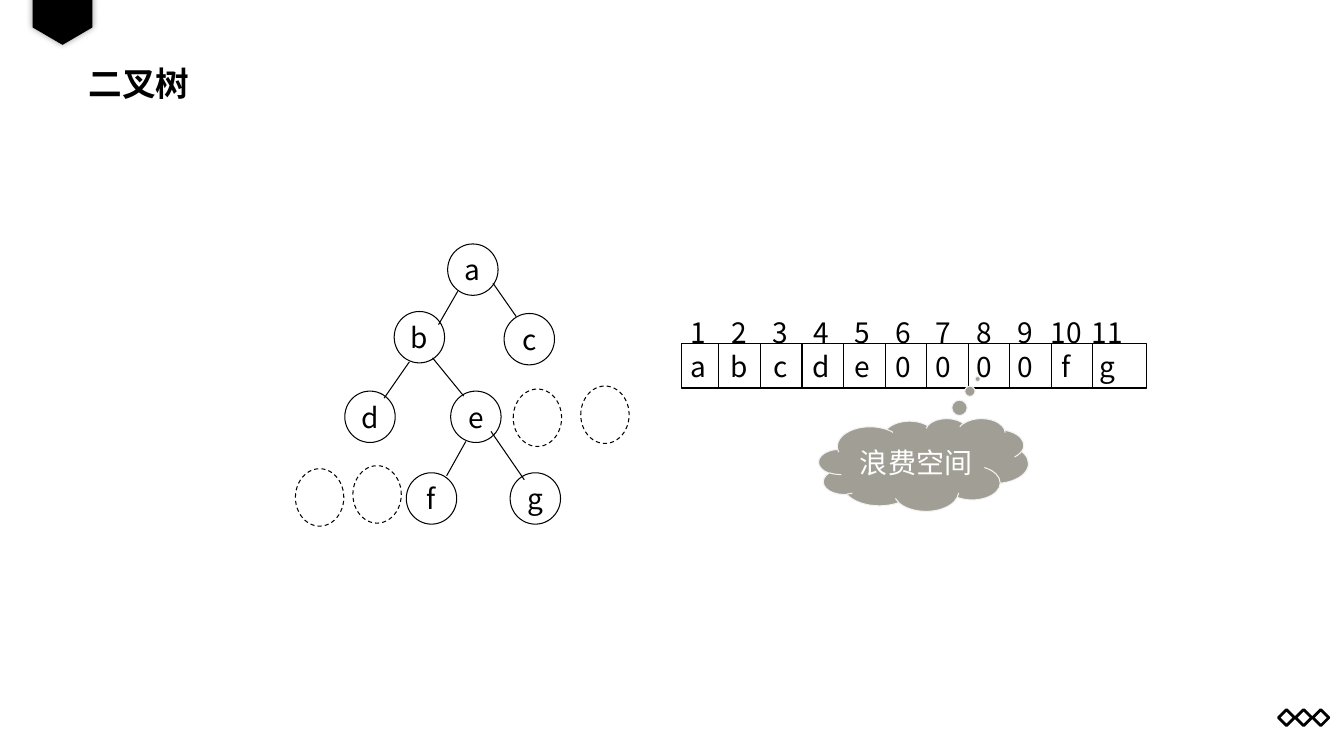
import pptx
import pptx.util
import pptx.dml.color
import pptx.enum.dml
import pptx.enum.shapes
import pptx.enum.text
import pptx.oxml
import pptx.oxml.ns
from lxml import etree

Inches, Pt = pptx.util.Inches, pptx.util.Pt
SHAPE = pptx.enum.shapes.MSO_SHAPE
ALIGN = pptx.enum.text.PP_ALIGN
ANCHOR = pptx.enum.text.MSO_ANCHOR
qn = pptx.oxml.ns.qn

FONT = "Noto Sans CJK SC"
BLACK, WHITE, GREY, PALE = "000000", "FFFFFF", "A19F95", "F2F2F2"

TITLE = "二叉树"
CALLOUT = "浪费空间"
NODES = {"a": (4.44, 2.42), "b": (3.91, 3.09), "c": (5, 3.11), "d": (3.42, 3.88),
         "e": (4.47, 3.88), "f": (4.03, 4.69), "g": (5.06, 4.69)}
EDGES = [(4.54, 2.89, 4.35, 3.22), (4.06, 3.59, 3.81, 3.95), (4.89, 2.81, 5.12, 3.14),
         (4.29, 3.55, 4.6, 3.93), (4.87, 4.28, 5.2, 4.76), (4.62, 4.38, 4.43, 4.72)]
MISSING = [(5.09, 3.86), (5.76, 3.83), (2.93, 4.65), (3.5, 4.62)]
CELLS = ["a", "b", "c", "d", "e", "0", "0", "0", "0", "f", "g"]
INDEXES = [str(i + 1) for i in range(len(CELLS))]

ARRAY_LEFT, ARRAY_TOP, ARRAY_W, ARRAY_H = 6.76, 3.41, 4.61, 0.44
INDEX_TOP = 3.08
FIRST_DIVIDER, LAST_DIVIDER = 7.13, 10.84
FIRST_TAB, LAST_TAB = 0.17, 4.22


def rgb(color):
    return pptx.dml.color.RGBColor.from_string(color)


def add_shape(shapes, kind, box, fill=None, line=BLACK, width=0.75):
    sp = shapes.add_shape(kind, *map(Inches, box))
    sp.shadow.inherit = False
    if fill:
        sp.fill.solid()
        sp.fill.fore_color.rgb = rgb(fill)
    else:
        sp.fill.background()
    if line:
        sp.line.color.rgb = rgb(line)
        sp.line.width = Pt(width)
    else:
        sp.line.fill.background()
    return sp


def add_line(shapes, x1, y1, x2, y2):
    cn = shapes.add_connector(pptx.enum.shapes.MSO_CONNECTOR.STRAIGHT,
                              *map(Inches, (x1, y1, x2, y2)))
    cn.line.color.rgb = rgb(BLACK)
    cn.line.width = Pt(0.75)
    etree.SubElement(cn._element.spPr, qn("a:effectLst"))


def write(sp, text, color=BLACK, size=20, bold=False, align=ALIGN.CENTER,
          anchor=ANCHOR.MIDDLE, wrap=True, inset=0):
    tf = sp.text_frame
    tf.word_wrap = wrap
    tf.vertical_anchor = anchor
    tf.margin_left = tf.margin_right = Inches(inset)
    tf.margin_top = tf.margin_bottom = Inches(inset / 2)
    p = tf.paragraphs[0]
    p.alignment = align
    r = p.add_run()
    r.text = text
    r.font.size = Pt(size)
    r.font.bold = bold
    r.font.name = FONT
    r.font.color.rgb = rgb(color)
    etree.SubElement(r._r.get_or_add_rPr(), qn("a:ea")).set("typeface", FONT)
    return p


def write_row(sp, items):
    """Write the items on evenly spaced centred tab stops."""
    p = write(sp, "".join("\t" + item for item in items), align=ALIGN.LEFT)
    tabs = etree.SubElement(p._p.get_or_add_pPr(), qn("a:tabLst"))
    step = (LAST_TAB - FIRST_TAB) / (len(items) - 1)
    for i in range(len(items)):
        tab = etree.SubElement(tabs, qn("a:tab"))
        tab.set("pos", str(Inches(FIRST_TAB + i * step)))
        tab.set("algn", "ctr")


def add_corner_marks(shapes):
    group = shapes.add_group_shape()
    for i in range(3):
        add_shape(group.shapes, SHAPE.DIAMOND, (12.68 + 0.17 * i, 7.04, 0.16, 0.16), width=2)
    flag = add_shape(shapes, SHAPE.PENTAGON, (0.38, -0.09, 0.48, 0.59), BLACK, None)
    flag.rotation = 90
    flag.adjustments[0] = 0.358
    effects = flag._element.spPr.find(qn("a:effectLst"))
    effects.append(pptx.oxml.parse_xml(
        '<a:outerShdw xmlns:a="http://schemas.openxmlformats.org/drawingml/2006/main"'
        ' blurRad="63500" dist="0" dir="0"><a:srgbClr val="000000">'
        '<a:alpha val="40000"/></a:srgbClr></a:outerShdw>'))


def add_tree(shapes):
    for name, (x, y) in NODES.items():
        write(add_shape(shapes, SHAPE.OVAL, (x, y, 0.5, 0.51)), name, wrap=False)
    for edge in EDGES:
        add_line(shapes, *edge)
    for x, y in MISSING:
        sp = add_shape(shapes, SHAPE.OVAL, (x, y, 0.48, 0.57))
        sp.line.dash_style = pptx.enum.dml.MSO_LINE.DASH


def add_array(shapes):
    write_row(add_shape(shapes, SHAPE.RECTANGLE,
                        (ARRAY_LEFT, ARRAY_TOP, ARRAY_W, ARRAY_H)), CELLS)
    dividers = len(CELLS) - 1
    step = (LAST_DIVIDER - FIRST_DIVIDER) / (dividers - 1)
    for i in range(dividers):
        x = FIRST_DIVIDER + i * step
        add_line(shapes, x, ARRAY_TOP, x, ARRAY_TOP + ARRAY_H)
    write_row(shapes.add_textbox(*map(Inches, (ARRAY_LEFT, INDEX_TOP, ARRAY_W, ARRAY_H))),
              INDEXES)
    cloud = add_shape(shapes, SHAPE.CLOUD_CALLOUT, (8.12, 4.15, 2.08, 0.92), GREY, PALE)
    cloud.adjustments[0], cloud.adjustments[1] = 0.258, -0.924
    write(cloud, CALLOUT, WHITE, inset=0.1)


def main():
    prs = pptx.Presentation()
    prs.slide_width, prs.slide_height = Inches(13.33), Inches(7.5)
    slide = prs.slides.add_slide(prs.slide_layouts[5])
    title = slide.shapes.title
    title.left, title.top, title.width, title.height = map(Inches, (0.78, 0.61, 11.68, 0.46))
    write(title, TITLE, size=24, bold=True, align=ALIGN.LEFT, anchor=ANCHOR.BOTTOM, inset=0.1)
    add_corner_marks(slide.shapes)
    add_tree(slide.shapes)
    add_array(slide.shapes)
    prs.save("out.pptx")


if __name__ == "__main__":
    main()
